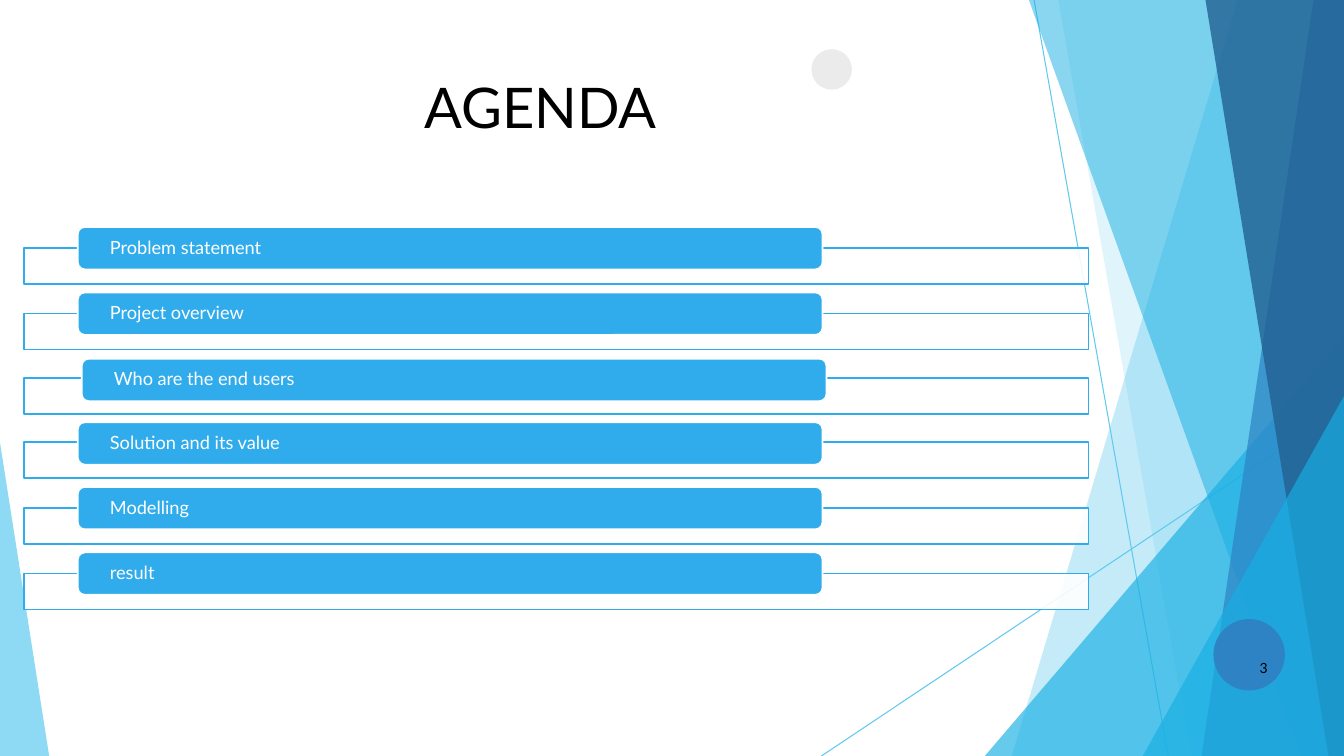
import dataclasses

import lxml.etree
import pptx
import pptx.dml.color
import pptx.enum.shapes
import pptx.enum.text
import pptx.oxml.ns
import pptx.util

Cm = pptx.util.Cm
Pt = pptx.util.Pt
Shapes = pptx.enum.shapes.MSO_SHAPE
Align = pptx.enum.text.PP_ALIGN

WIDTH, HEIGHT = 33.87, 19.05


@dataclasses.dataclass(frozen=True)
class Theme:
    font: str = "Lato"
    white: str = "FFFFFF"
    black: str = "000000"
    gray: str = "EBEBEB"
    sky: str = "5FCAEE"
    cyan: str = "17AFE3"
    blue: str = "2D83C3"
    navy: str = "226192"
    accent: str = "30ACEC"
    title_size: int = 40
    item_size: int = 13
    number_size: int = 10
    thin_line: float = 0.75
    frame_line: float = 1.25


class SlideBuilder:
    def __init__(self, slide, theme):
        self.slide = slide
        self.theme = theme

    def style(self, shape, fill, opacity=100, line=None):
        """Apply a flat fill, with opacity in percent, and an optional outline."""
        shape.shadow.inherit = False
        shape.fill.solid()
        shape.fill.fore_color.rgb = pptx.dml.color.RGBColor.from_string(fill)
        if opacity < 100:
            color = shape._element.spPr.find(".//" + pptx.oxml.ns.qn("a:srgbClr"))
            alpha = lxml.etree.SubElement(color, pptx.oxml.ns.qn("a:alpha"))
            alpha.set("val", str(opacity * 1000))
        if line:
            shape.line.color.rgb = pptx.dml.color.RGBColor.from_string(line)
            shape.line.width = Pt(self.theme.frame_line)
        else:
            shape.line.fill.background()

    def line(self, start, end):
        connector = self.slide.shapes.add_connector(
            pptx.enum.shapes.MSO_CONNECTOR.STRAIGHT,
            *(Cm(value) for value in start + end))
        connector.line.color.rgb = pptx.dml.color.RGBColor.from_string(self.theme.sky)
        connector.line.width = Pt(self.theme.thin_line)
        properties = connector._element.spPr
        lxml.etree.SubElement(properties, pptx.oxml.ns.qn("a:effectLst"))

    def facet(self, points, fill, opacity):
        corners = [(Cm(x), Cm(y)) for x, y in points]
        builder = self.slide.shapes.build_freeform(*corners[0])
        builder.add_line_segments(corners[1:], close=True)
        self.style(builder.convert_to_shape(), fill, opacity)

    def shape(self, kind, box, fill, opacity=100, line=None):
        shape = self.slide.shapes.add_shape(kind, *(Cm(value) for value in box))
        self.style(shape, fill, opacity, line)
        return shape

    def set_text(self, shape, text, size, color, align, inset=0):
        frame = shape.text_frame
        frame.word_wrap = True
        frame.vertical_anchor = pptx.enum.text.MSO_ANCHOR.MIDDLE
        frame.margin_left = frame.margin_right = Cm(inset)
        frame.margin_top = frame.margin_bottom = 0
        paragraph = frame.paragraphs[0]
        paragraph.text = text
        paragraph.alignment = align
        paragraph.font.name = self.theme.font
        paragraph.font.size = Pt(size)
        paragraph.font.color.rgb = pptx.dml.color.RGBColor.from_string(color)
        return paragraph

    def text(self, box, text, size, align, space_before):
        text_box = self.slide.shapes.add_textbox(*(Cm(value) for value in box))
        paragraph = self.set_text(text_box, text, size, self.theme.black, align)
        paragraph.space_before = Pt(space_before)

    def agenda_item(self, text, tab_left, tab_top, frame_top):
        """Draw a wide outlined frame with a rounded label tab over its top edge."""
        theme = self.theme
        self.shape(Shapes.RECTANGLE, (0.61, frame_top, 26.82, 0.91),
                   theme.white, 90, theme.accent)
        tab = self.shape(Shapes.ROUNDED_RECTANGLE, (tab_left, tab_top, 18.77, 1.07),
                         theme.accent, line=theme.white)
        paragraph = self.set_text(tab, text, theme.item_size, theme.white, Align.LEFT, 0.76)
        paragraph.line_spacing = 0.9


def right_facet(top_left, bottom_left):
    """Corners of a full-height facet that reaches the right edge of the slide."""
    return [(WIDTH, 0), (top_left, 0), (bottom_left, HEIGHT), (WIDTH, HEIGHT)]


def right_triangle(top, bottom_left):
    return [(WIDTH, top), (bottom_left, HEIGHT), (WIDTH, HEIGHT)]


def main():
    theme = Theme()
    presentation = pptx.Presentation()
    presentation.slide_width = Cm(WIDTH)
    presentation.slide_height = Cm(HEIGHT)
    slide = presentation.slides.add_slide(presentation.slide_layouts[6])
    builder = SlideBuilder(slide, theme)

    builder.line((26.06, 0), (29.44, HEIGHT))
    builder.line((WIDTH, 10.26), (20.7, HEIGHT))

    facets = [
        (right_facet(31.19, 25.5), theme.sky, 36),
        (right_facet(26.67, 30.02), theme.sky, 20),
        (right_triangle(8.46, 24.82), theme.cyan, 66),
        (right_facet(25.93, 32.79), theme.cyan, 50),
        (right_facet(33.1, 30.28), theme.blue, 70),
        (right_facet(30.38, 33.48), theme.navy, 80),
        (right_triangle(9.98, 28.8), theme.cyan, 66),
        ([(0, 11.15), (0, HEIGHT), (1.24, HEIGHT)], theme.sky, 70),
    ]
    for points, fill, opacity in facets:
        builder.facet(points, fill, opacity)

    builder.shape(Shapes.OVAL, (20.45, 1.24, 1.02, 1.02), theme.gray)
    builder.shape(Shapes.OVAL, (30.58, 15.6, 1.8, 1.8), theme.blue)

    builder.text((-0.3, 0.23, 27.84, 4.88), "AGENDA", theme.title_size, Align.CENTER, 1.1)
    builder.text((30.43, 16.31, 1.52, 1.02), "3", theme.number_size, Align.RIGHT, 0.6)

    agenda = [
        ("Problem statement", 1.96, 5.72, 6.25),
        ("Project overview", 1.96, 7.37, 7.9),
        ("Who are the end users", 2.06, 9.04, 9.53),
        ("Solution and its value", 1.96, 10.64, 11.13),
        ("Modelling", 1.96, 12.27, 12.8),
        ("result", 1.96, 13.92, 14.45),
    ]
    for item in agenda:
        builder.agenda_item(*item)

    presentation.save("out.pptx")


if __name__ == "__main__":
    main()
